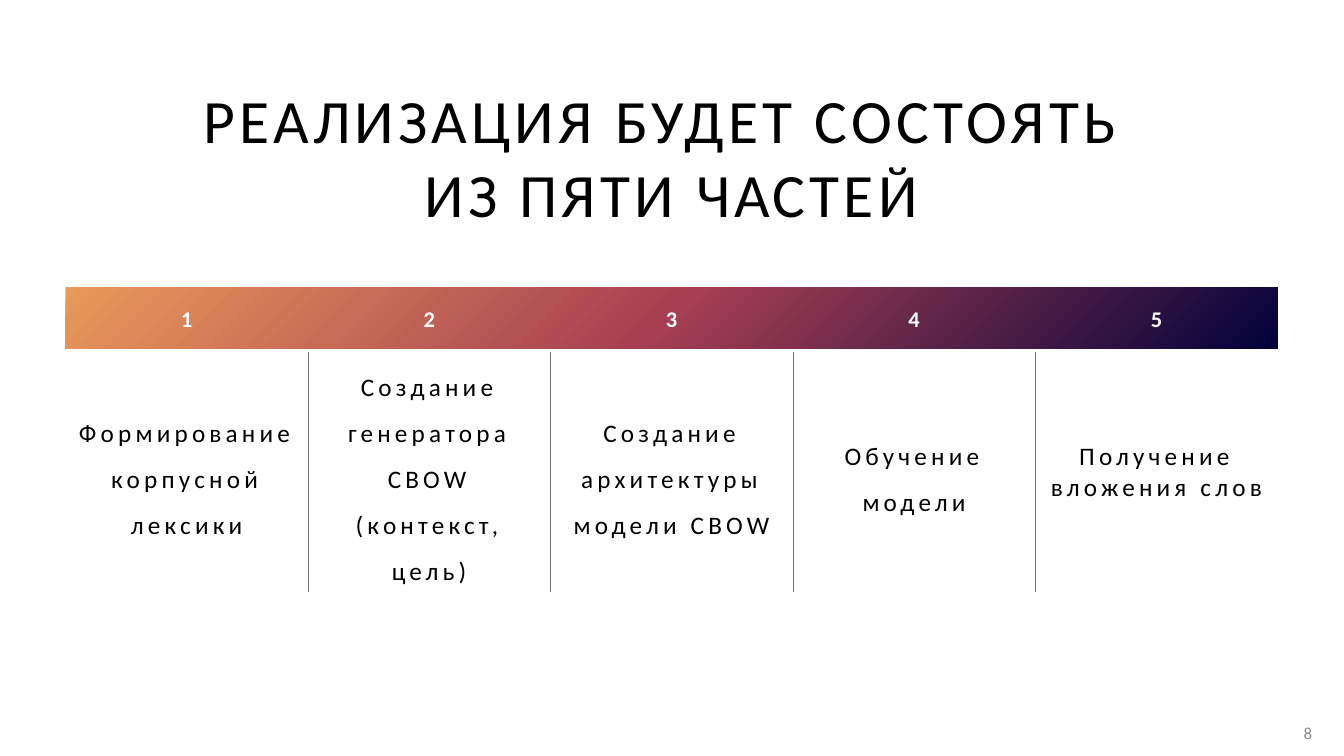
import pptx
import pptx.util
import pptx.oxml
import pptx.oxml.ns
import pptx.dml.color
import pptx.enum.shapes
import pptx.enum.text
from lxml import etree

Cm, Pt = pptx.util.Cm, pptx.util.Pt
ALIGN = pptx.enum.text.PP_ALIGN
MIDDLE = pptx.enum.text.MSO_ANCHOR.MIDDLE
COLORS = {
    "text": "000000", "header": "FFFFFF", "number": "8C8C8C", "rule": "767171",
    "navy": "01023B", "crimson": "A53F52", "orange": "E9995A",
}
NS = pptx.oxml.ns.nsdecls("a")
NO_STYLE = "{2D5ABB26-0587-4C30-8999-92F81FD0307C}"
STEPS = [
    "Формирование корпусной лексики",
    "Создание генератора CBOW (контекст, цель)",
    "Создание архитектуры модели CBOW",
    "Обучение модели",
    "Получение вложения слов",
]
LEFT, WIDTH, BAR_TOP = Cm(1.65), Cm(30.55), Cm(7.24)


def write(tf, text, size, color, bold=False, align=ALIGN.CENTER, spacing=0, line=None):
    """Fill a text frame with one paragraph; spacing is between letters, in points."""
    tf.word_wrap = True
    tf.vertical_anchor = MIDDLE
    p = tf.paragraphs[0]
    p.text = text
    p.alignment = align
    if line:
        p.line_spacing = line
    for r in p.runs:
        r.font.name = "Calibri"
        r.font.size = Pt(size)
        r.font.bold = bold
        r.font.color.rgb = pptx.dml.color.RGBColor.from_string(COLORS[color])
        if spacing:
            r.font._element.set("spc", str(spacing * 100))


prs = pptx.Presentation()
prs.slide_width, prs.slide_height = Cm(33.87), Cm(19.05)
s = prs.slides.add_slide(prs.slide_layouts[6])

# Gradient bar behind the table header
bar = s.shapes.add_shape(
    pptx.enum.shapes.MSO_SHAPE.RECTANGLE, LEFT, BAR_TOP, WIDTH, Cm(1.55))
bar.shadow.inherit = False
bar.line.fill.background()
stops = "".join(
    f'<a:gs pos="{pos}"><a:srgbClr val="{COLORS[name]}"/></a:gs>'
    for pos, name in [(0, "navy"), (50000, "crimson"), (100000, "orange")])
gradient = pptx.oxml.parse_xml(
    f'<a:gradFill {NS} rotWithShape="1"><a:gsLst>{stops}</a:gsLst>'
    '<a:path path="circle"><a:fillToRect l="100000" t="100000"/></a:path></a:gradFill>')
bar._element.spPr.find(pptx.oxml.ns.qn("a:prstGeom")).addnext(gradient)

title = s.shapes.add_textbox(LEFT, Cm(1.63), WIDTH, Cm(4.6))
write(title.text_frame, "РЕАЛИЗАЦИЯ БУДЕТ СОСТОЯТЬ \vИЗ ПЯТИ ЧАСТЕЙ", 44, "text", spacing=3)

# Numbered steps
frame = s.shapes.add_table(2, len(STEPS), LEFT, BAR_TOP, WIDTH, Cm(7.68))
table = frame.table
table.first_row = table.horz_banding = False
table._tbl.tblPr.find(pptx.oxml.ns.qn("a:tableStyleId")).text = NO_STYLE
table.rows[0].height, table.rows[1].height = Cm(1.63), Cm(6.05)
last = len(STEPS) - 1
for i, step in enumerate(STEPS):
    table.columns[i].width = Cm(6.11)
    header, body = table.cell(0, i), table.cell(1, i)
    write(header.text_frame, str(i + 1), 16, "header", bold=True)
    write(body.text_frame, step, 18, "text", spacing=3, line=1.5 if i < last else None)
    for cell in (header, body):
        cell.vertical_anchor = MIDDLE
        cell.fill.background()
    sides = [side for side, shown in (("lnL", i > 0), ("lnR", i < last)) if shown]
    for k, side in enumerate(sides):
        body._tc.tcPr.insert(k, etree.fromstring(
            f'<a:{side} {NS} w="3175"><a:solidFill><a:srgbClr val="{COLORS["rule"]}"/>'
            f'</a:solidFill></a:{side}>'))

number = s.shapes.add_textbox(Cm(32.08), Cm(17.96), Cm(1.24), Cm(1.02))
write(number.text_frame, "8", 12, "number", align=ALIGN.RIGHT)

prs.save("out.pptx")
